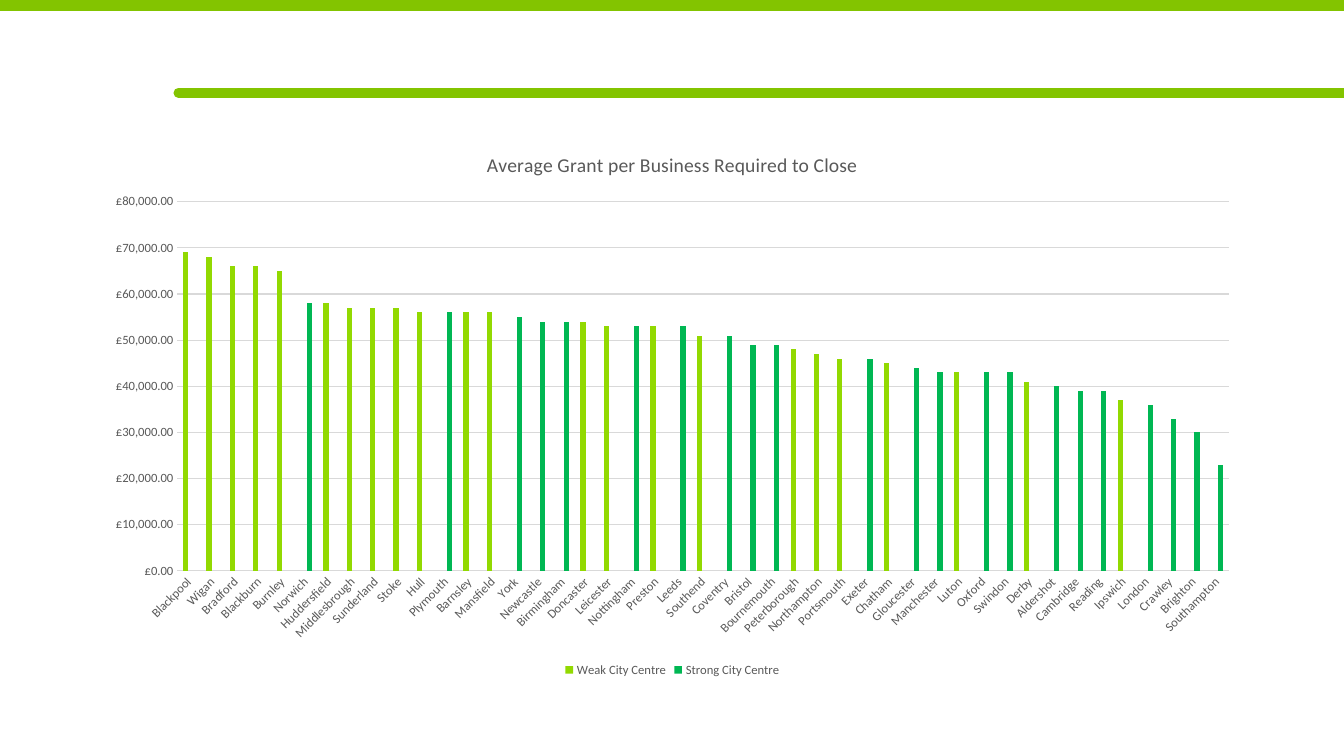
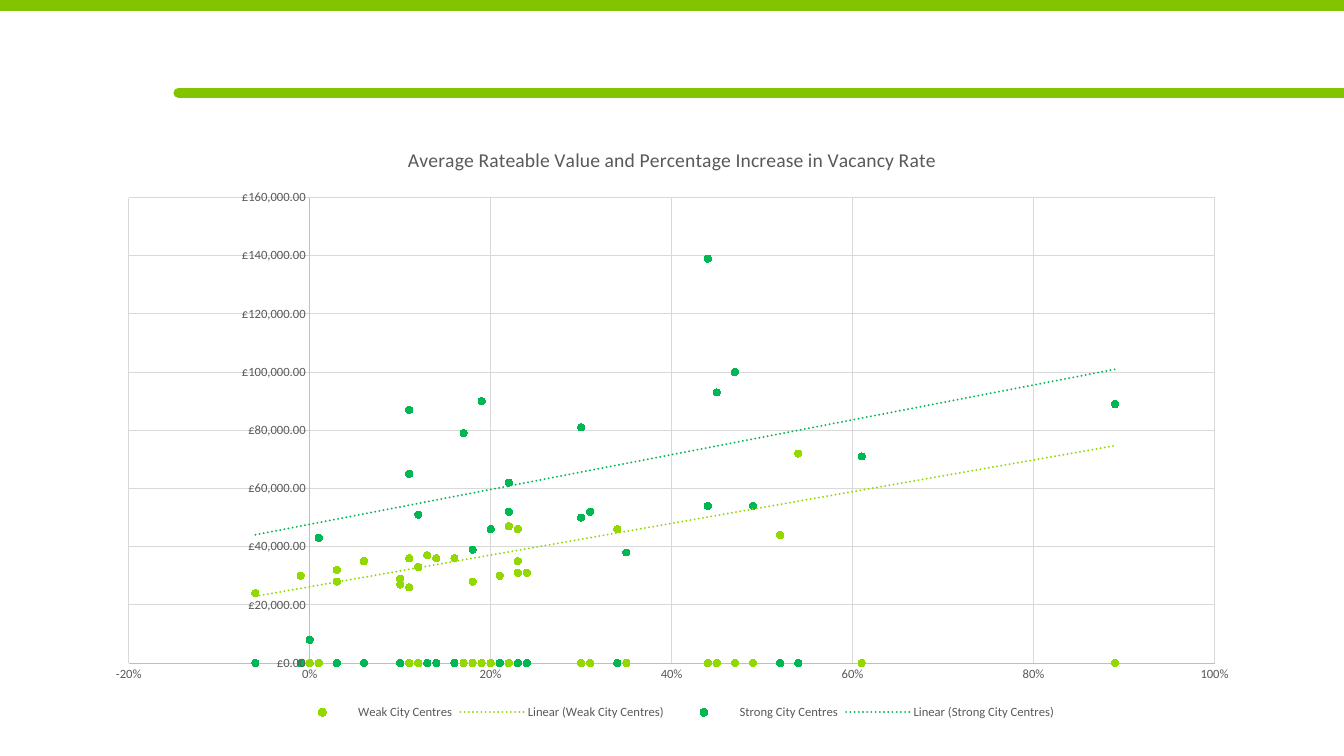
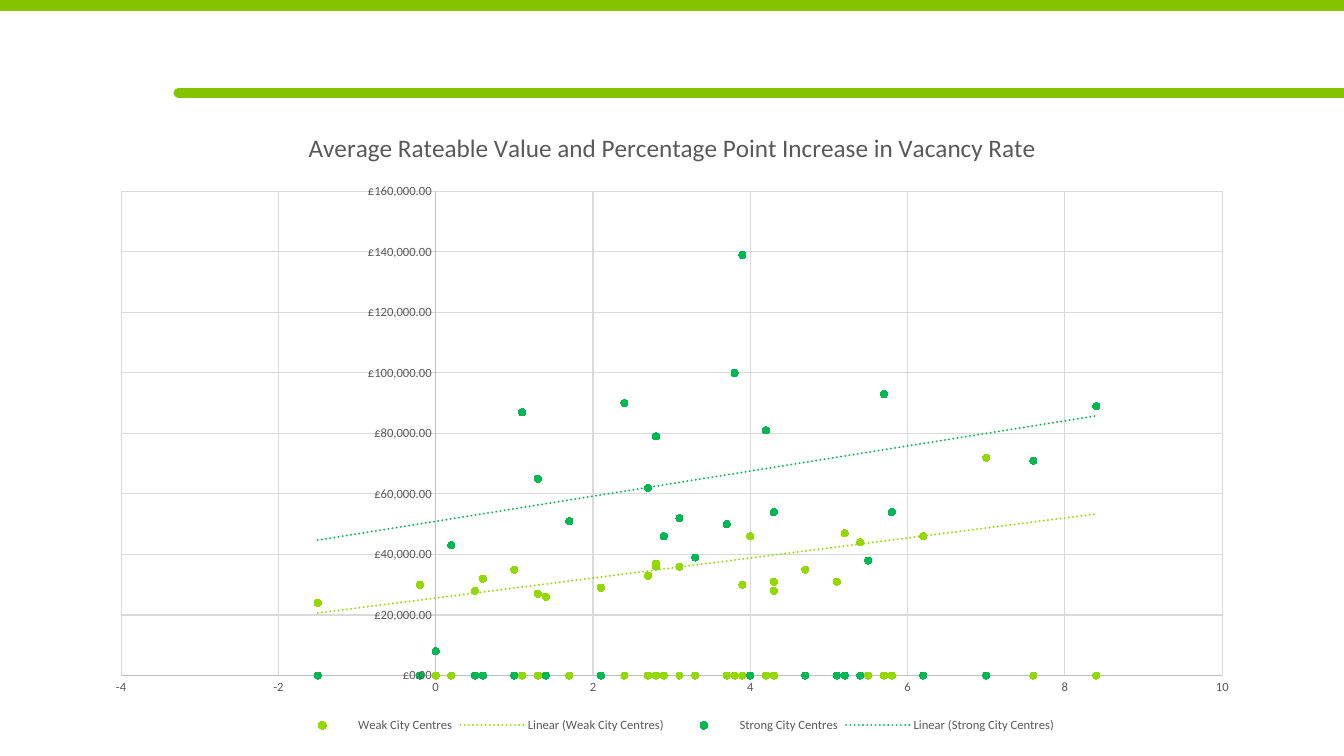
from dataclasses import dataclass

from pptx import Presentation
from pptx.chart.data import CategoryChartData, XyChartData
from pptx.dml.color import RGBColor
from pptx.enum.chart import XL_CHART_TYPE, XL_LEGEND_POSITION, XL_MARKER_STYLE, XL_TICK_MARK
from pptx.enum.shapes import MSO_CONNECTOR
from pptx.oxml import parse_xml
from pptx.oxml.ns import nsdecls, qn
from pptx.util import Pt

COLUMNS = XL_CHART_TYPE.COLUMN_CLUSTERED
SCATTER = XL_CHART_TYPE.XY_SCATTER
LEGEND_BOTTOM = XL_LEGEND_POSITION.BOTTOM
CIRCLE = XL_MARKER_STYLE.CIRCLE
NO_TICK = XL_TICK_MARK.NONE
STRAIGHT = MSO_CONNECTOR.STRAIGHT


@dataclass(frozen=True)
class Theme:
    font: str = "Calibri"
    band: str = "83C400"
    weak: str = "92D901"
    strong: str = "00B753"
    label: str = "595959"
    base: str = "000000"
    grid: str = "D9D9D9"
    axis: str = "BFBFBF"
    base_size: float = 10
    label_size: float = 9
    title_size: float = 14
    large_title_size: float = 18
    hairline: float = 0.75
    trend_width: float = 1.5


THEME = Theme()
SLIDE_WIDTH, SLIDE_HEIGHT = 960, 540
CHART_LEFT, CHART_WIDTH = 66.24, 828
POUNDS = '"£"#,##0.00'
WEAK, STRONG = "Weak", "Strong"
GROUP_COLORS = {WEAK: THEME.weak, STRONG: THEME.strong}

GRANTS = [
    ("Blackpool", 69, WEAK), ("Wigan", 68, WEAK), ("Bradford", 66, WEAK),
    ("Blackburn", 66, WEAK), ("Burnley", 65, WEAK), ("Norwich", 58, STRONG),
    ("Huddersfield", 58, WEAK), ("Middlesbrough", 57, WEAK), ("Sunderland", 57, WEAK),
    ("Stoke", 57, WEAK), ("Hull", 56, WEAK), ("Plymouth", 56, STRONG),
    ("Barnsley", 56, WEAK), ("Mansfield", 56, WEAK), ("York", 55, STRONG),
    ("Newcastle", 54, STRONG), ("Birmingham", 54, STRONG), ("Doncaster", 54, WEAK),
    ("Leicester", 53, WEAK), ("Nottingham", 53, STRONG), ("Preston", 53, WEAK),
    ("Leeds", 53, STRONG), ("Southend", 51, WEAK), ("Coventry", 51, STRONG),
    ("Bristol", 49, STRONG), ("Bournemouth", 49, STRONG), ("Peterborough", 48, WEAK),
    ("Northampton", 47, WEAK), ("Portsmouth", 46, WEAK), ("Exeter", 46, STRONG),
    ("Chatham", 45, WEAK), ("Gloucester", 44, STRONG), ("Manchester", 43, STRONG),
    ("Luton", 43, WEAK), ("Oxford", 43, STRONG), ("Swindon", 43, STRONG),
    ("Derby", 41, WEAK), ("Aldershot", 40, STRONG), ("Cambridge", 39, STRONG),
    ("Reading", 39, STRONG), ("Ipswich", 37, WEAK), ("London", 36, STRONG),
    ("Crawley", 33, STRONG), ("Brighton", 30, STRONG), ("Southampton", 23, STRONG),
]

VACANCIES = [
    (0.03, 0.6, 32, WEAK), (0, 0, 8, STRONG), (-0.06, -1.5, 24, WEAK),
    (0.24, 5.1, 31, WEAK), (0.11, 1.4, 26, WEAK), (0.23, 4.7, 35, WEAK),
    (0.06, 1, 35, WEAK), (0.18, 4.3, 28, WEAK), (0.34, 6.2, 46, WEAK),
    (-0.01, -0.2, 30, WEAK), (0.1, 2.1, 29, WEAK), (0.18, 3.3, 39, STRONG),
    (0.23, 4.3, 31, WEAK), (0.1, 1.3, 27, WEAK), (0.03, 0.5, 28, WEAK),
    (0.13, 2.8, 37, WEAK), (0.12, 2.7, 33, WEAK), (0.14, 2.8, 36, WEAK),
    (0.11, 2.8, 36, WEAK), (0.49, 4.3, 54, STRONG), (0.21, 3.9, 30, WEAK),
    (0.44, 5.8, 54, STRONG), (0.35, 5.5, 38, STRONG), (0.22, 5.2, 47, WEAK),
    (0.52, 5.4, 44, WEAK), (0.3, 3.7, 50, STRONG), (0.16, 3.1, 36, WEAK),
    (0.12, 1.7, 51, STRONG), (0.23, 4, 46, WEAK), (0.01, 0.2, 43, STRONG),
    (0.54, 7, 72, WEAK), (0.2, 2.9, 46, STRONG), (0.22, 3.1, 52, STRONG),
    (0.61, 7.6, 71, STRONG), (0.11, 1.3, 65, STRONG), (0.31, 3.1, 52, STRONG),
    (0.22, 2.7, 62, STRONG), (0.17, 2.8, 79, STRONG), (0.45, 5.7, 93, STRONG),
    (0.3, 4.2, 81, STRONG), (0.89, 8.4, 89, STRONG), (0.19, 2.4, 90, STRONG),
    (0.47, 3.8, 100, STRONG), (0.11, 1.1, 87, STRONG), (0.44, 3.9, 139, STRONG),
]


def rgb(color):
    return RGBColor.from_string(color)


def style_font(font, size, color):
    font.name = THEME.font
    font.size = Pt(size)
    font.bold = False
    font.color.rgb = rgb(color)


def style_line(line, color, width):
    line.color.rgb = rgb(color)
    line.width = Pt(width)


def add_band(slide, left, middle, width):
    band = slide.shapes.add_connector(STRAIGHT, Pt(left), Pt(middle), Pt(SLIDE_WIDTH), Pt(middle))
    style_line(band.line, THEME.band, width)
    band.line._get_or_add_ln().set("cap", "rnd")
    band._element.spPr.append(parse_xml(f'<a:effectLst {nsdecls("a")}/>'))


def add_banded_slide(prs):
    slide = prs.slides.add_slide(prs.slide_layouts[6])
    add_band(slide, 0, 2.88, 10)
    add_band(slide, 127.44, 66.24, 7)
    return slide


def style_axis(axis, line_color, grid, number_format):
    axis.major_tick_mark = axis.minor_tick_mark = NO_TICK
    style_font(axis.tick_labels.font, THEME.label_size, THEME.label)
    axis.tick_labels.number_format = number_format
    axis.tick_labels.number_format_is_linked = False
    if line_color:
        style_line(axis.format.line, line_color, THEME.hairline)
    else:
        axis.format.line.fill.background()
    axis.has_major_gridlines = grid
    if grid:
        style_line(axis.major_gridlines.format.line, THEME.grid, THEME.hairline)


def set_scale(axis, low, high, step):
    axis.minimum_scale, axis.maximum_scale, axis.major_unit = low, high, step


def add_titled_chart(slide, kind, data, title, title_size, top, height):
    chart = slide.shapes.add_chart(
        kind, Pt(CHART_LEFT), Pt(top), Pt(CHART_WIDTH), Pt(height), data).chart
    style_font(chart.font, THEME.base_size, THEME.base)
    chart.has_title = True
    heading = chart.chart_title.text_frame
    heading.text = title
    style_font(heading.paragraphs[0].runs[0].font, title_size, THEME.label)
    chart.chart_title.include_in_layout = False
    chart.has_legend = True
    chart.legend.position = LEGEND_BOTTOM
    chart.legend.include_in_layout = False
    style_font(chart.legend.font, THEME.label_size, THEME.label)
    chart.plots[0].vary_by_categories = False
    return chart


def add_grant_chart(slide):
    data = CategoryChartData()
    data.categories = [city for city, _, _ in GRANTS]
    for group in GROUP_COLORS:
        data.add_series(f"{group} City Centre", [
            grant * 1000 if owner == group else None for _, grant, owner in GRANTS])
    chart = add_titled_chart(slide, COLUMNS, data, "Average Grant per Business Required to Close",
                             THEME.title_size, 93.6, 393.12)
    plot = chart.plots[0]
    plot.gap_width, plot.overlap = 219, -27
    for series, color in zip(plot.series, GROUP_COLORS.values()):
        series.format.fill.solid()
        series.format.fill.fore_color.rgb = rgb(color)
    style_axis(chart.category_axis, THEME.grid, False, "General")
    chart.category_axis._element.txPr.find(qn("a:bodyPr")).set("rot", "-2700000")
    style_axis(chart.value_axis, None, True, POUNDS)
    set_scale(chart.value_axis, 0, 80000, 10000)


def add_trend(series, color):
    trend = parse_xml(
        f'<c:trendline {nsdecls("c", "a")}><c:spPr><a:ln w="{Pt(THEME.trend_width)}" cap="rnd">'
        f'<a:solidFill><a:srgbClr val="{color}"/></a:solidFill><a:prstDash val="sysDot"/>'
        '</a:ln></c:spPr><c:trendlineType val="linear"/>'
        '<c:dispRSqr val="0"/><c:dispEq val="0"/></c:trendline>')
    series._element.find(qn("c:xVal")).addprevious(trend)


def style_markers(series, color):
    series.format.line.fill.background()
    marker = series.marker
    marker.style, marker.size = CIRCLE, 5
    marker.format.fill.solid()
    marker.format.fill.fore_color.rgb = rgb(color)
    style_line(marker.format.line, color, THEME.hairline)


def plot_blanks_as_zero(chart):
    chart_xml = chart._chartSpace.find(qn("c:chart"))
    chart_xml.find(qn("c:dispBlanksAs")).set("val", "zero")
    for series in chart.plots[0].series:
        for point in list(series._element.find(qn("c:yVal")).iter(qn("c:pt"))):
            if point.find(qn("c:v")).text == "None":
                point.getparent().remove(point)


def add_vacancy_chart(slide, title, title_size, top, height, column, scale, number_format):
    data = XyChartData()
    for group in GROUP_COLORS:
        points = data.add_series(f"{group} City Centres")
        for row in VACANCIES:
            rateable_value, owner = row[2:]
            points.add_data_point(row[column], rateable_value * 1000 if owner == group else None)
    chart = add_titled_chart(slide, SCATTER, data, title, title_size, top, height)
    plot_blanks_as_zero(chart)
    for series, color in zip(chart.plots[0].series, GROUP_COLORS.values()):
        style_markers(series, color)
        add_trend(series, color)
    style_axis(chart.category_axis, THEME.axis, True, number_format)
    set_scale(chart.category_axis, *scale)
    style_axis(chart.value_axis, THEME.axis, True, POUNDS)
    set_scale(chart.value_axis, 0, 160000, 20000)


def main():
    prs = Presentation()
    prs.slide_width, prs.slide_height = Pt(SLIDE_WIDTH), Pt(SLIDE_HEIGHT)
    add_grant_chart(add_banded_slide(prs))
    add_vacancy_chart(
        add_banded_slide(prs), "Average Rateable Value and Percentage Increase in Vacancy Rate",
        THEME.title_size, 89.28, 427.68, 0, (-0.2, 1, 0.2), "0%")
    add_vacancy_chart(
        add_banded_slide(prs), "Average Rateable Value and Percentage Point Increase in Vacancy Rate",
        THEME.large_title_size, 77.04, 449.28, 1, (-4, 10, 2), "General")
    prs.save("out.pptx")


main()
